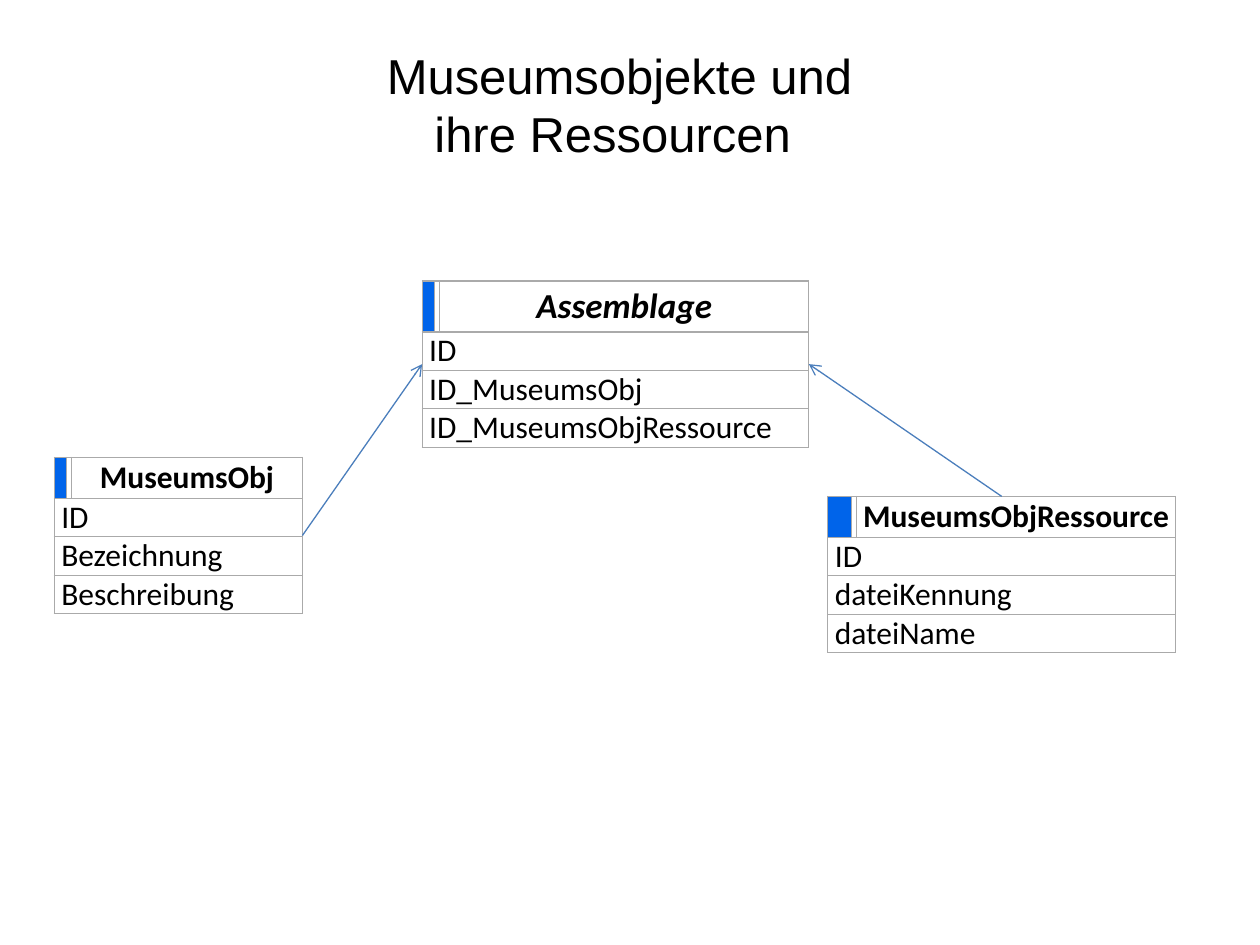
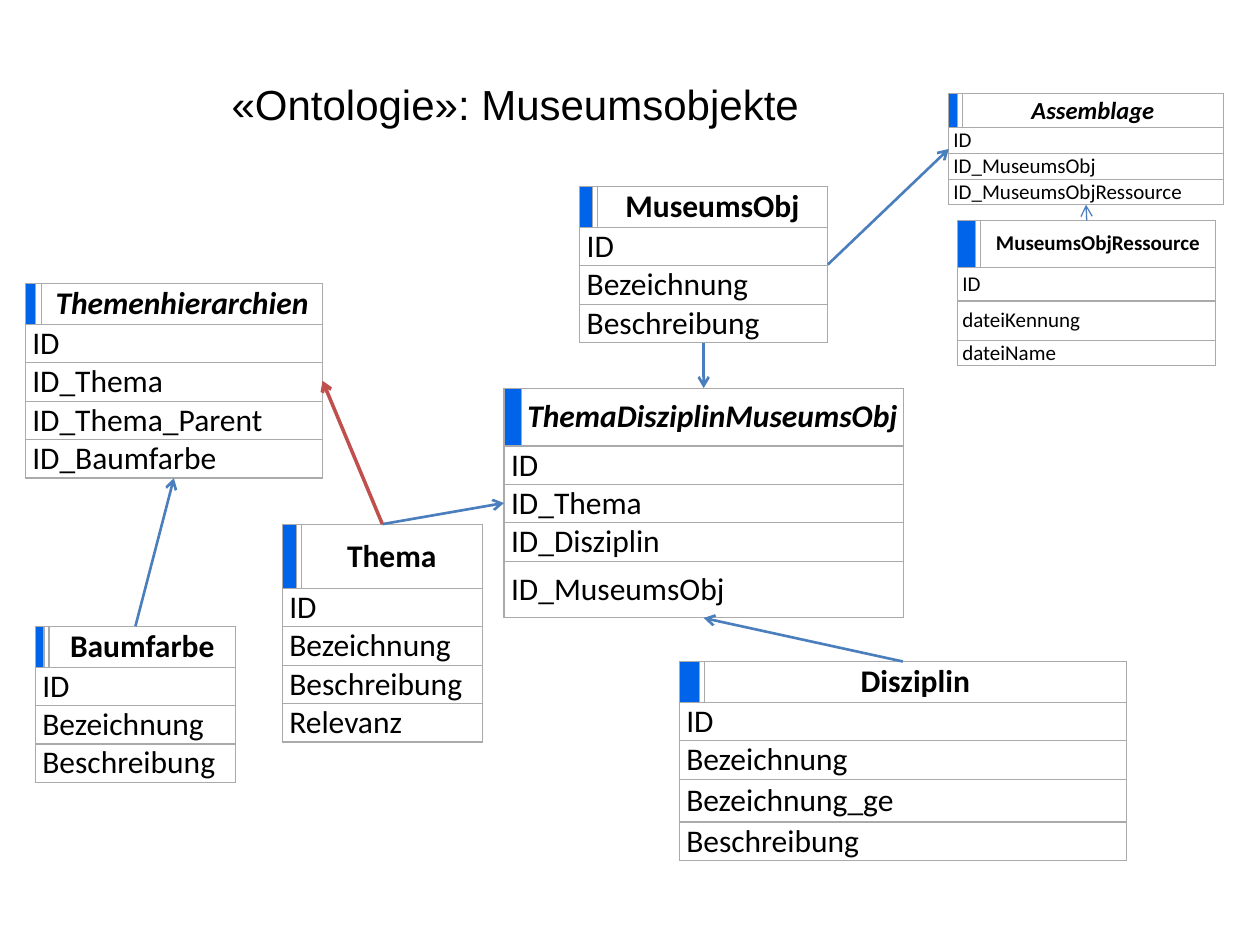
from dataclasses import dataclass

from lxml.etree import SubElement
from pptx import Presentation
from pptx.dml.color import RGBColor
from pptx.enum.shapes import MSO_CONNECTOR
from pptx.enum.text import MSO_ANCHOR, PP_ALIGN
from pptx.oxml.ns import qn
from pptx.util import Inches, Pt


@dataclass(frozen=True)
class Theme:
    text: RGBColor = RGBColor.from_string("000000")
    paper: RGBColor = RGBColor.from_string("FFFFFF")
    stripe: RGBColor = RGBColor.from_string("0064EA")
    arrow: RGBColor = RGBColor.from_string("4B7EBC")
    highlight: RGBColor = RGBColor.from_string("C0504D")
    border: str = "AAAAAA"
    border_width: float = 0.75
    title_font: str = "Arial"
    body_font: str = "Calibri"
    body_size: int = 18
    small_size: int = 12
    line_height: float = 1.22


THEME = Theme()
COLUMNS, ROWS = 100, 75
SLIDE_WIDTH, SLIDE_HEIGHT = Inches(10), Inches(7.5)
CELL = SLIDE_WIDTH / COLUMNS  # one grid unit, equally wide and high

# Points on a box where arrows dock, as shares of its width and height
TOP, BOTTOM, LEFT, RIGHT = (0.5, 0), (0.5, 1), (0, 0.5), (1, 0.5)


@dataclass
class Box:
    left: float
    top: float
    width: float
    height: float

    def lengths(self):
        return [grid(n) for n in (self.left, self.top, self.width, self.height)]

    def dock(self, side):
        return (grid(self.left + self.width * side[0]),
                grid(self.top + self.height * side[1]))


def grid(units):
    return round(units * CELL)


def row_height(size):
    """Grid units taken by one line of text."""
    return Pt(size * THEME.line_height) / CELL


def format_run(run, font, size, bold=False, italic=False):
    run.font.name, run.font.size = font, Pt(size)
    run.font.bold, run.font.italic = bold, italic
    run.font.color.rgb = THEME.text


def add_title(slide, box, text, size):
    frame = slide.shapes.add_textbox(*box.lengths()).text_frame
    frame.word_wrap = True
    frame.vertical_anchor = MSO_ANCHOR.MIDDLE
    frame.text = text
    paragraph = frame.paragraphs[0]
    paragraph.alignment = PP_ALIGN.CENTER
    format_run(paragraph.runs[0], THEME.title_font, size)


def style_cell(cell, color, margin=0.0):
    properties = cell._tc.get_or_add_tcPr()
    for side in ("a:lnL", "a:lnR", "a:lnT", "a:lnB"):
        line = SubElement(properties, qn(side), w=str(Pt(THEME.border_width)))
        fill = SubElement(line, qn("a:solidFill"))
        SubElement(fill, qn("a:srgbClr"), val=THEME.border)
    cell.fill.solid()
    cell.fill.fore_color.rgb = color
    cell.vertical_anchor = MSO_ANCHOR.MIDDLE
    cell.margin_left = cell.margin_right = Inches(margin)
    cell.margin_top = cell.margin_bottom = Inches(margin)


def shrink_empty_cell(cell):
    """Keep an empty cell from stretching its row."""
    paragraph = cell.text_frame.paragraphs[0]._p
    SubElement(paragraph, qn("a:endParaRPr"), sz="600")


def add_entity(slide, place, name, fields, stripes=(1, 0.4), header=None,
               heading_size=THEME.body_size, size=THEME.body_size,
               link=False, heights=None):
    """Draw an entity at (left, top, width) and return the box it fills.

    Link entities have italic headings; heights replaces single field rows.
    """
    left, top, width = place
    heights = heights or {}
    row_heights = [header or row_height(heading_size) + 0.2]
    row_heights += [heights.get(field, row_height(size)) for field in fields]
    column_widths = [*stripes, width - sum(stripes)]
    box = Box(left, top, width, sum(row_heights))
    table = slide.shapes.add_table(
        len(row_heights), len(column_widths), *box.lengths()).table
    table.first_row = table.horz_banding = False
    for column, units in zip(table.columns, column_widths):
        column.width = grid(units)
    for row, units in zip(table.rows, row_heights):
        row.height = grid(units)

    # Heading row: blue stripe, optional white gap, name
    last = len(stripes)
    for index in range(last):
        cell = table.cell(0, index)
        style_cell(cell, THEME.paper if index else THEME.stripe)
        shrink_empty_cell(cell)
    heading = table.cell(0, last)
    style_cell(heading, THEME.paper, margin=0.01)
    heading.text_frame.text = name
    paragraph = heading.text_frame.paragraphs[0]
    paragraph.alignment = PP_ALIGN.CENTER
    format_run(paragraph.runs[0], THEME.body_font, heading_size, True, link)

    # Field rows across all columns
    for number, field in enumerate(fields, start=1):
        for index in range(last + 1):
            style_cell(table.cell(number, index), THEME.paper)
        cell = table.cell(number, 0)
        cell.merge(table.cell(number, last))
        cell.margin_left = Pt(size * 0.226)
        cell.text_frame.text = field
        format_run(cell.text_frame.paragraphs[0].runs[0], THEME.body_font, size)
    return box


def add_arrow(slide, start, start_side, end, end_side,
              width=1.5, color=THEME.arrow):
    connector = slide.shapes.add_connector(
        MSO_CONNECTOR.STRAIGHT, *start.dock(start_side), *end.dock(end_side))
    connector.line.width = Pt(width)
    connector.line.color.rgb = color
    SubElement(connector.line._get_or_add_ln(), qn("a:tailEnd"), type="arrow")
    SubElement(connector._element.spPr, qn("a:effectLst"))


# Fields of entities that occur more than once
DESCRIBED = ("ID", "Bezeichnung", "Beschreibung")
ASSEMBLAGE = ("ID", "ID_MuseumsObj", "ID_MuseumsObjRessource")
RESOURCE = ("ID", "dateiKennung", "dateiName")


def build_resources(slide):
    add_title(slide, Box(26.4, 3, 45.5, 10.5),
              "Museumsobjekte und ihre Ressourcen ", 28)
    assemblage = add_entity(slide, (33.5, 22.3, 30.7), "Assemblage", ASSEMBLAGE,
                            header=4.05, heading_size=20, link=True)
    museum_object = add_entity(slide, (4.3, 36.3, 19.7), "MuseumsObj", DESCRIBED)
    resource = add_entity(slide, (65.7, 39.4, 27.6), "MuseumsObjRessource",
                          RESOURCE, stripes=(1.9, 0.4))
    add_arrow(slide, museum_object, RIGHT, assemblage, LEFT, width=0.75)
    add_arrow(slide, resource, TOP, assemblage, RIGHT, width=0.75)


def build_ontology(slide):
    add_title(slide, Box(16.1, 3, 49.6, 10.5), "«Ontologie»: Museumsobjekte", 24)

    # Entities
    assemblage = add_entity(slide, (75.3, 7.4, 21.8), "Assemblage", ASSEMBLAGE,
                            stripes=(0.7, 0.4), header=2.75, heading_size=14,
                            size=THEME.small_size, link=True)
    tree_color = add_entity(slide, (2.8, 49.7, 15.9), "Baumfarbe", DESCRIBED,
                            stripes=(0.7, 0.4))
    discipline = add_entity(
        slide, (53.9, 52.5, 35.5), "Disziplin",
        ("ID", "Bezeichnung", "Bezeichnung_ge", "Beschreibung"),
        stripes=(1.6, 0.4), heights={"Bezeichnung_ge": 3.4})
    museum_object = add_entity(slide, (46, 14.8, 19.7), "MuseumsObj", DESCRIBED)
    resource = add_entity(slide, (76, 17.5, 20.5), "MuseumsObjRessource", RESOURCE,
                          stripes=(1.4, 0.4), header=3.7,
                          heading_size=THEME.small_size, size=THEME.small_size,
                          heights={"ID": 2.7, "dateiKennung": 3.1})
    topic = add_entity(slide, (22.4, 41.6, 15.9), "Thema",
                       (*DESCRIBED, "Relevanz"), stripes=(1.1, 0.4), header=5.1)
    assignment = add_entity(
        slide, (40, 30.8, 31.7), "ThemaDisziplinMuseumsObj",
        ("ID", "ID_Thema", "ID_Disziplin", "ID_MuseumsObj"),
        stripes=(1.4,), header=4.6, link=True, heights={"ID_MuseumsObj": 4.5})
    hierarchy = add_entity(
        slide, (2, 22.5, 23.6), "Themenhierarchien",
        ("ID", "ID_Thema", "ID_Thema_Parent", "ID_Baumfarbe"),
        stripes=(0.8, 0.5), link=True)

    # Relations
    add_arrow(slide, museum_object, BOTTOM, assignment, TOP)
    add_arrow(slide, topic, TOP, assignment, LEFT)
    add_arrow(slide, discipline, TOP, assignment, BOTTOM)
    add_arrow(slide, tree_color, TOP, hierarchy, BOTTOM)
    add_arrow(slide, topic, TOP, hierarchy, RIGHT, width=2, color=THEME.highlight)
    add_arrow(slide, museum_object, RIGHT, assemblage, LEFT)
    add_arrow(slide, resource, TOP, assemblage, BOTTOM, width=0.75)


def main():
    presentation = Presentation()
    presentation.slide_width, presentation.slide_height = SLIDE_WIDTH, SLIDE_HEIGHT
    blank_layout = presentation.slide_layouts[6]
    for build in (build_resources, build_ontology):
        build(presentation.slides.add_slide(blank_layout))
    presentation.save("out.pptx")


if __name__ == "__main__":
    main()
